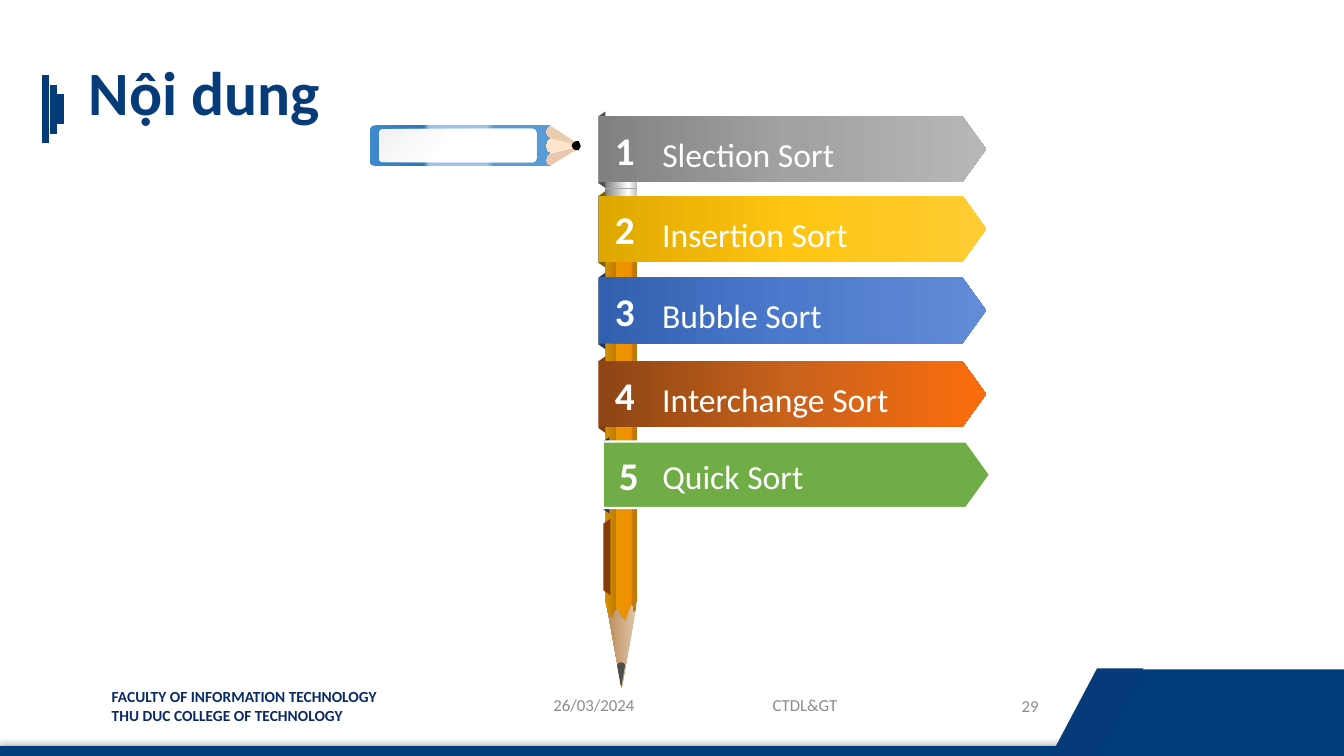
import dataclasses

import lxml.etree
import pptx
import pptx.dml.color
import pptx.enum.shapes
import pptx.enum.text
import pptx.oxml.ns
import pptx.util

CELL = 9144
COLUMNS, ROWS = 1333, 750
FONT = "Calibri"
KIND = pptx.enum.shapes.MSO_SHAPE
ALIGN = pptx.enum.text.PP_ALIGN
ANCHOR = pptx.enum.text.MSO_ANCHOR
qn = pptx.oxml.ns.qn
rgb = pptx.dml.color.RGBColor.from_string

WHITE, BLACK = rgb("FFFFFF"), rgb("000000")
NAVY, BAND, FACULTY = rgb("063B7A"), rgb("003B7A"), rgb("092A67")
FOOTER_GREY, RING_GREY = rgb("8C8C8C"), rgb("A6A6A6")
WOOD_UPPER, WOOD_LOWER, WOOD_MIDDLE = rgb("EACCB0"), rgb("EBC8AC"), rgb("FFE3CD")
LEAD, GREEN = rgb("4C504C"), rgb("70AD47")
FOLD_BROWN, FOLD_NAVY = rgb("843C0B"), rgb("203864")
FOLD_OLIVE, FOLD_GREY = rgb("806000"), rgb("525252")


def gradient(angle, *stops):
    """Describe a linear gradient as a clockwise angle and coloured stops."""
    return angle, [(place, rgb(colour)) for place, colour in stops]


BLUE_PAINT = gradient(0, (0, "3E89CE"), (30, "2E75B6"), (33, "9DC3E6"),
                      (65, "9DC3E6"), (69, "5B9BD5"), (100, "5B9BD5"))
PAPER = gradient(45, (0, "F2F2F2"), (50, "FFFFFF"), (100, "FDFDFD"))
CONE = gradient(90, (0, "E1C9AF"), (100, "B88954"))
ORANGE_PAINT = gradient(0, (0, "D99100"), (33, "BD7C04"), (34, "ED9501"),
                        (82, "EF9100"), (83, "C87B14"), (100, "BC7908"))
METAL = gradient(180, (0, "BFBFBF"), (27, "FFFFFF"), (100, "808080"))
RUBBER = gradient(0, (16, "B24349"), (52, "FF6E94"), (100, "BF4C73"))
GREY_SIGN = gradient(0, (0, "818181"), (50, "A2A2A2"), (100, "B7B7B7"))
YELLOW_SIGN = gradient(0, (0, "DFA800"), (50, "FFC513"), (100, "FFCD33"))
BLUE_SIGN = gradient(0, (0, "3260B1"), (50, "4C7ACC"), (100, "628CD7"))
ORANGE_SIGN = gradient(0, (0, "8D4514"), (50, "C9621C"), (100, "FB6D0C"))

SIGNS = [
    (0, 0, "Slection Sort", 192, 13, FOLD_GREY, GREY_SIGN),
    (79, 0, "Insertion Sort", 206, 13, FOLD_OLIVE, YELLOW_SIGN),
    (160, 0, "Bubble Sort", 180, 13, FOLD_NAVY, BLUE_SIGN),
    (243, 0, "Interchange Sort", 247, 13, FOLD_BROWN, ORANGE_SIGN),
    (323, 4, "Quick Sort", 161, 9, FOLD_NAVY, GREEN),
]


@dataclasses.dataclass
class Box:
    """A rectangle measured in grid cells."""
    left: int
    top: int
    width: int
    height: int

    def inner(self, left, top, width, height):
        """Return a box placed relative to this one."""
        return Box(self.left + left, self.top + top, width, height)

    def lengths(self):
        """Return left, top, width and height as lengths."""
        return [pptx.util.Emu(cells * CELL) for cells in dataclasses.astuple(self)]


def paint(shape, fill):
    """Fill a shape with a colour or gradient, without outline or shadow."""
    shape.shadow.inherit = False
    shape.line.fill.background()
    if isinstance(fill, pptx.dml.color.RGBColor):
        shape.fill.solid()
        shape.fill.fore_color.rgb = fill
        return
    angle, stops = fill
    shape.fill.gradient()
    shape.fill.gradient_angle = -angle % 360
    stop_list = shape._element.spPr.find(qn("a:gradFill")).find(qn("a:gsLst"))
    for stop in list(stop_list):
        stop_list.remove(stop)
    for place, colour in stops:
        stop = lxml.etree.SubElement(stop_list, qn("a:gs"), pos=str(place * 1000))
        lxml.etree.SubElement(stop, qn("a:srgbClr"), val=str(colour))


def add_shape(page, kind, box, fill, adjust=None, rotation=0):
    """Add a painted preset shape."""
    shape = page.shapes.add_shape(kind, *box.lengths())
    shape.rotation = rotation
    if adjust is not None:
        shape.adjustments[0] = adjust
    paint(shape, fill)
    return shape


def add_outline(page, box, points, fill):
    """Add a closed outline whose points are relative to the box."""
    corners = [(box.left + x, box.top + y) for x, y in points]
    builder = page.shapes.build_freeform(*corners[0], scale=CELL)
    builder.add_line_segments(corners[1:], close=True)
    paint(builder.convert_to_shape(), fill)


def add_line(page, box, colour, weight):
    """Add a straight line along the diagonal of a box."""
    left, top, width, height = box.lengths()
    line = page.shapes.add_connector(pptx.enum.shapes.MSO_CONNECTOR.STRAIGHT,
                                     left, top, left + width, top + height)
    line.line.color.rgb = colour
    line.line.width = pptx.util.Pt(weight)
    lxml.etree.SubElement(line._element.spPr, qn("a:effectLst"))
    return line


def add_text(page, box, lines, size, colour, bold=False, align=ALIGN.LEFT,
             anchor=ANCHOR.TOP, wrap=True, spacing=None):
    """Add a text box with one paragraph for each line."""
    frame = page.shapes.add_textbox(*box.lengths()).text_frame
    frame.word_wrap = wrap
    frame.vertical_anchor = anchor
    frame.text = "\n".join(lines)
    for para in frame.paragraphs:
        para.alignment = align
        para.line_spacing = spacing
        para.font.name = FONT
        para.font.size = pptx.util.Pt(size)
        para.font.bold = bold
        para.font.color.rgb = colour


def draw_footer(page, box):
    """Draw the bottom band, the faculty name and the footer fields."""
    add_text(page, box.inner(101, 14, 306, 47),
             ["FACULTY OF INFORMATION TECHNOLOGY", "THU DUC COLLEGE OF TECHNOLOGY"],
             11, FACULTY, bold=True)
    band = add_shape(page, KIND.RECTANGLE, box.inner(0, 78, box.width, 8), BAND)
    band.line.color.rgb = BAND
    band.line.width = pptx.util.Pt(1)
    effects = band._element.spPr.find(qn("a:effectLst"))
    shadow = lxml.etree.SubElement(effects, qn("a:outerShdw"), blurRad="50800",
                                   dist="25400", dir="16200000", rotWithShape="0")
    shade = lxml.etree.SubElement(shadow, qn("a:srgbClr"), val=str(BLACK))
    lxml.etree.SubElement(shade, qn("a:alpha"), val="40000")
    add_shape(page, KIND.RECTANGLE, box.inner(1092, 1, 241, 86), BAND)
    add_shape(page, KIND.PARALLELOGRAM, box.inner(1042, 0, 92, 87), NAVY, 0.53)
    for left, top, width, text, align in [
            (539, 16, 134, "26/03/2024", ALIGN.LEFT),
            (696, 16, 205, "CTDL&GT", ALIGN.CENTER),
            (924, 17, 116, "29", ALIGN.RIGHT)]:
        add_text(page, box.inner(left, top, width, 40), [text], 12, FOOTER_GREY,
                 align=align, anchor=ANCHOR.MIDDLE)


def draw_title(page, box):
    """Draw the title with its three shrinking bars."""
    for left, top, height in [(0, 32, 68), (8, 42, 49), (15, 51, 30)]:
        add_line(page, box.inner(left, top, 0, height), NAVY, 4.5)
    add_text(page, box.inner(33, 0, 268, 106), ["Nội dung"], 44, NAVY, bold=True,
             anchor=ANCHOR.MIDDLE, spacing=0.9)


def draw_pointer_pencil(page, box):
    """Draw the blue pencil that points at the list."""
    add_outline(page, box, [(209, 21), (169, 11), (174, 1), (178, 0), (204, 17)],
                WOOD_UPPER)
    add_outline(page, box, [(209, 21), (169, 31), (174, 40), (178, 41), (204, 25)],
                WOOD_LOWER)
    add_shape(page, KIND.ISOSCELES_TRIANGLE, box.inner(181, 2, 18, 37), WOOD_MIDDLE,
              rotation=90)
    add_outline(page, box, [
        (7, 0), (178, 0), (175, 3), (174, 7), (175, 11), (178, 13), (175, 16),
        (174, 21), (175, 26), (178, 28), (175, 31), (174, 35), (175, 39), (178, 41),
        (7, 41), (2, 40), (0, 38), (0, 4), (2, 1)], BLUE_PAINT)
    add_shape(page, KIND.ROUNDED_RECTANGLE, box.inner(9, 4, 156, 33), PAPER, 0.11)
    add_outline(page, box, [(209, 21), (207, 25), (204, 25), (202, 24), (200, 21),
                            (201, 18), (204, 16), (207, 16)], BLACK)


def draw_post_pencil(page, box):
    """Draw the upright orange pencil that carries the signs."""
    add_shape(page, KIND.PENTAGON, box.inner(-28, 507, 89, 32), CONE, 2.78, 90)
    add_outline(page, box, [
        (0, 87), (32, 87), (32, 478), (31, 487), (29, 492), (28, 486), (26, 484),
        (24, 489), (20, 500), (17, 497), (13, 488), (10, 490), (7, 497), (4, 494),
        (0, 482)], ORANGE_PAINT)
    ferrule = add_shape(page, KIND.RECTANGLE, box.inner(0, 22, 32, 65), METAL)
    add_shape(page, KIND.RECTANGLE, box.inner(4, 0, 25, 22), RUBBER)
    add_outline(page, box, [(16, 542), (19, 543), (20, 545), (16, 567), (12, 545),
                            (13, 543)], LEAD)
    rings = [add_line(page, box.inner(0, round(30 + 8.33 * step), 32, 0), RING_GREY, 0.5)
             for step in range(7)]
    rings[3].begin_connect(ferrule, 1)
    rings[3].end_connect(ferrule, 3)


def draw_signs(page, box):
    """Draw the numbered signs, each with the fold behind it."""
    def add_fold(left, top, fill):
        """Add one fold at the left edge of a sign."""
        add_shape(page, KIND.TRAPEZOID, box.inner(left, top, 76, 7), fill, 0.7, 270)

    for number, (top, shift, label, width, drop, fold, fill) in enumerate(SIGNS, 1):
        add_fold(shift - 35, top + 30, fold)
        sign = add_shape(page, KIND.PENTAGON, box.inner(shift, top, 384, 66), fill, 0.36)
        if fill is GREEN:
            sign.line.color.rgb = WHITE
            sign.line.width = pptx.util.Pt(1.5)
        add_text(page, box.inner(shift + 6, top + 5, 42, 57), [str(number)], 28, WHITE,
                 bold=True, wrap=False)
        add_text(page, box.inner(53, top + drop, width, 50), [label], 24, WHITE, wrap=False)
    add_fold(-30, 434, FOLD_BROWN)


def main():
    """Build the slide and save the deck."""
    deck = pptx.Presentation()
    deck.slide_width = pptx.util.Emu(COLUMNS * CELL)
    deck.slide_height = pptx.util.Emu(ROWS * CELL)
    page = deck.slides.add_slide(deck.slide_layouts[6])
    draw_footer(page, Box(0, 663, COLUMNS, 87))
    draw_pointer_pencil(page, Box(367, 124, 209, 41))
    draw_post_pencil(page, Box(600, 115, 32, 567))
    draw_signs(page, Box(594, 115, 388, 389))
    draw_title(page, Box(45, 42, 301, 106))
    deck.save("out.pptx")


if __name__ == "__main__":
    main()
